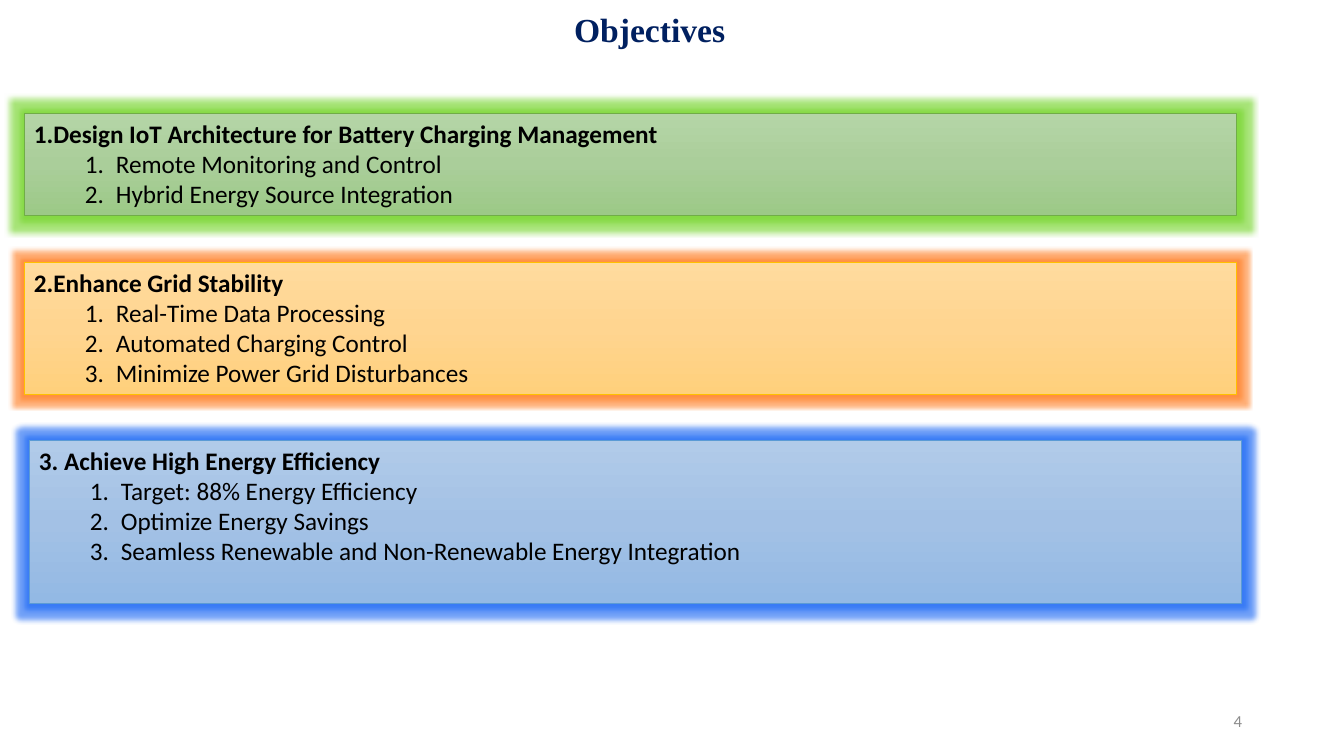
from copy import deepcopy
from dataclasses import dataclass

from pptx import Presentation
from pptx.dml.color import RGBColor
from pptx.enum.shapes import MSO_SHAPE as Shape
from pptx.enum.text import MSO_ANCHOR as Anchor, MSO_AUTO_SIZE as AutoSize, PP_ALIGN as Align
from pptx.oxml.ns import qn
from pptx.oxml.xmlchemy import OxmlElement
from pptx.util import Pt

EMU_PER_PX = 914400 / 100.8


@dataclass(frozen=True)
class Theme:
    """Colours, fonts and type sizes of the slide."""
    title_font: str = "Times New Roman"
    body_font: str = "Calibri"
    title_size: int = 24
    body_size: int = 18
    number_size: int = 12
    title: str = "002060"
    text: str = "000000"
    number: str = "8C8C8C"
    green: tuple = ("B5D5A7", "AACE9A", "9CC987")
    amber: tuple = ("FFDB9E", "FFD590", "FFD07C")
    blue: tuple = ("B1CBE9", "A3C1E5", "93B9E4")
    green_line: str = "70AD47"
    amber_line: str = "FFC000"
    blue_line: str = "5B9BD5"
    green_glow: str = "6ED321"
    amber_glow: str = "FF7B1D"
    blue_glow: str = "1463F4"


THEME = Theme()


@dataclass(frozen=True)
class Objective:
    """One objective panel: its wording and its look."""
    heading: str
    points: tuple
    fill: tuple
    line: str
    glow: str
    glow_radius: int
    numbered: bool = False


OBJECTIVES = (
    ((24, 113, 1212, 102), Objective(
        "Design IoT Architecture for Battery Charging Management",
        ("Remote Monitoring and Control", "Hybrid Energy Source Integration"),
        THEME.green, THEME.green_line, THEME.green_glow, 11, numbered=True)),
    ((24, 262, 1212, 132), Objective(
        "2.Enhance Grid Stability",
        ("Real-Time Data Processing", "Automated Charging Control",
         "Minimize Power Grid Disturbances"),
        THEME.amber, THEME.amber_line, THEME.amber_glow, 8)),
    ((29, 440, 1212, 163), Objective(
        "3. Achieve High Energy Efficiency",
        ("Target: 88% Energy Efficiency", "Optimize Energy Savings",
         "Seamless Renewable and Non-Renewable Energy Integration"),
        THEME.blue, THEME.blue_line, THEME.blue_glow, 11)),
)


def px(length):
    """Turn pixels into EMU."""
    return round(length * EMU_PER_PX)


def set_font(para, name, size, colour, bold=False):
    """Set the font of a whole paragraph."""
    font = para.font
    font.name, font.size, font.bold = name, Pt(size), bold
    font.color.rgb = RGBColor.from_string(colour)


def add_number(para, margin, indent):
    """Give a paragraph automatic numbering and a hanging indent in px."""
    properties = para._p.get_or_add_pPr()
    properties.set("marL", str(px(margin)))
    properties.set("indent", str(px(indent)))
    numbering = OxmlElement("a:buAutoNum")
    numbering.set("type", "arabicPeriod")
    properties.append(numbering)


def fill_gradient(shape, colours):
    """Fill a shape from top to bottom with evenly spaced colours."""
    shape.fill.gradient()
    shape.fill.gradient_angle = 270
    stop_list = shape._element.spPr.find(qn("a:gradFill")).find(qn("a:gsLst"))
    for _ in colours[2:]:
        stop_list.insert(1, deepcopy(stop_list[0]))
    for index, (stop, colour) in enumerate(zip(shape.fill.gradient_stops, colours)):
        stop.position = index / (len(colours) - 1)
        stop.color.rgb = RGBColor.from_string(colour)


def add_glow(shape, colour, radius):
    """Replace the shadow of a shape with a translucent glow."""
    shape.shadow.inherit = False
    glow = OxmlElement("a:glow")
    glow.set("rad", str(px(radius)))
    tone = OxmlElement("a:srgbClr")
    tone.set("val", colour)
    alpha = OxmlElement("a:alpha")
    alpha.set("val", "60000")
    tone.append(alpha)
    glow.append(tone)
    shape._element.spPr.find(qn("a:effectLst")).append(glow)


def add_title(slide, box, text):
    """Place the slide title in its placeholder."""
    title = slide.shapes.title
    title.left, title.top, title.width, title.height = map(px, box)
    frame = title.text_frame
    frame.text = text
    frame.vertical_anchor = Anchor.TOP
    frame.auto_size = AutoSize.SHAPE_TO_FIT_TEXT
    para = frame.paragraphs[0]
    para.alignment = Align.LEFT
    set_font(para, THEME.title_font, THEME.title_size, THEME.title, bold=True)


def add_objective(slide, box, objective):
    """Draw a glowing panel with a heading and numbered points."""
    panel = slide.shapes.add_shape(Shape.RECTANGLE, *map(px, box))
    fill_gradient(panel, objective.fill)
    panel.line.color.rgb = RGBColor.from_string(objective.line)
    panel.line.width = Pt(0.5)
    add_glow(panel, objective.glow, objective.glow_radius)
    frame = panel.text_frame
    frame.word_wrap = True
    frame.vertical_anchor = Anchor.TOP
    heading = frame.paragraphs[0]
    heading.text = objective.heading
    heading.alignment = Align.LEFT
    if objective.numbered:
        add_number(heading, 0, 0)
    set_font(heading, THEME.body_font, THEME.body_size, THEME.text, bold=True)
    for point in objective.points:
        para = frame.add_paragraph()
        para.text = point
        para.level = 1
        para.alignment = Align.LEFT
        add_number(para, 82, -31)
        set_font(para, THEME.body_font, THEME.body_size, THEME.text)


def add_page_number(slide, box, number):
    """Write the page number at the right of its box."""
    frame = slide.shapes.add_textbox(*map(px, box)).text_frame
    frame.word_wrap = True
    frame.vertical_anchor = Anchor.MIDDLE
    para = frame.paragraphs[0]
    para.text = number
    para.alignment = Align.RIGHT
    set_font(para, THEME.body_font, THEME.number_size, THEME.number)


def main():
    """Build and save the deck."""
    deck = Presentation()
    deck.slide_width, deck.slide_height = px(1344), px(756)
    slide = deck.slides.add_slide(deck.slide_layouts.get_by_name("Title Only"))
    add_page_number(slide, (950, 701, 302, 40), "4")
    add_title(slide, (564, 4, 216, 50), "Objectives")
    for box, objective in OBJECTIVES:
        add_objective(slide, box, objective)
    deck.save("out.pptx")


if __name__ == "__main__":
    main()
